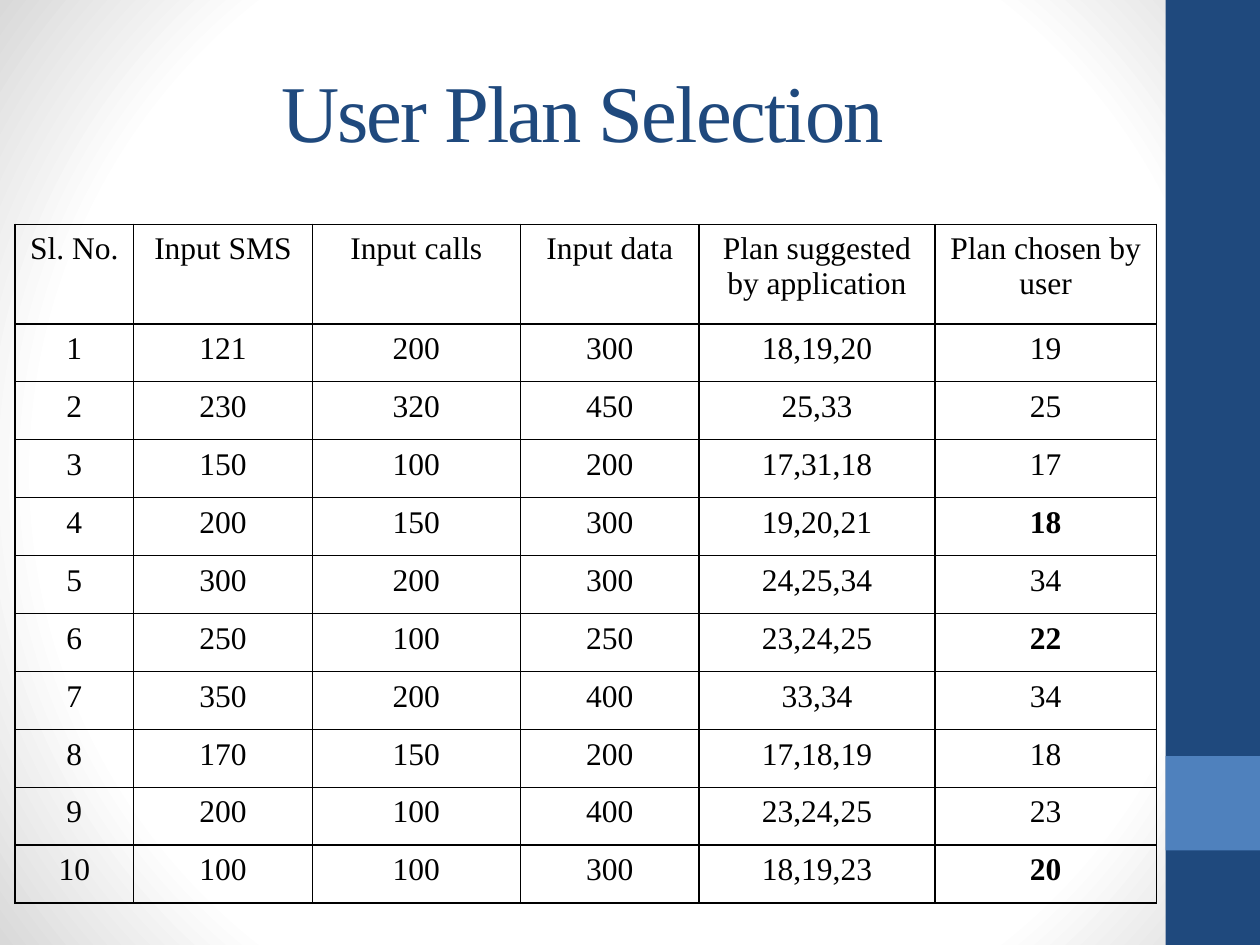
from dataclasses import dataclass

from lxml.etree import SubElement
from pptx import Presentation
from pptx.dml.color import RGBColor
from pptx.enum.shapes import MSO_SHAPE as Preset
from pptx.enum.text import MSO_ANCHOR as Anchor, MSO_AUTO_SIZE as AutoSize, PP_ALIGN as Align
from pptx.oxml import parse_xml
from pptx.oxml.ns import nsdecls, qn
from pptx.util import Inches, Pt

NAVY = RGBColor(0x1F, 0x49, 0x7D)
BLUE = RGBColor(0x4F, 0x81, 0xBD)
BLACK = RGBColor(0, 0, 0)
FONT = "Times New Roman"

HEADERS = ("Sl. No.", "Input SMS", "Input calls", "Input data",
           "Plan suggested by application", "Plan chosen by user")
COLUMN_WIDTHS = (0.94, 1.42, 1.65, 1.42, 1.87, 1.76)
HEADER_HEIGHT, ROW_HEIGHT = 0.79, 0.46
CELL_MARGIN = 0.06

BACKGROUND = f"""<p:bg {nsdecls('p', 'a')}><p:bgPr>
<a:gradFill rotWithShape="1"><a:gsLst>
<a:gs pos="0"><a:srgbClr val="FFFFFF"/></a:gs>
<a:gs pos="75000"><a:srgbClr val="FFFFFF"/></a:gs>
<a:gs pos="100000"><a:srgbClr val="D9D9D9"/></a:gs>
</a:gsLst><a:path path="circle">
<a:fillToRect l="50000" t="50000" r="50000" b="50000"/>
</a:path></a:gradFill><a:effectLst/></p:bgPr></p:bg>"""


@dataclass(frozen=True)
class Band:
    top: float
    height: float
    color: RGBColor


@dataclass(frozen=True)
class Trial:
    sms: int
    calls: int
    data: int
    suggested: tuple[int, ...]
    chosen: int


BANDS = (Band(0, 7.5, NAVY), Band(6, 0.75, BLUE))
TRIALS = (
    Trial(121, 200, 300, (18, 19, 20), 19),
    Trial(230, 320, 450, (25, 33), 25),
    Trial(150, 100, 200, (17, 31, 18), 17),
    Trial(200, 150, 300, (19, 20, 21), 18),
    Trial(300, 200, 300, (24, 25, 34), 34),
    Trial(250, 100, 250, (23, 24, 25), 22),
    Trial(350, 200, 400, (33, 34), 34),
    Trial(170, 150, 200, (17, 18, 19), 18),
    Trial(200, 100, 400, (23, 24, 25), 23),
    Trial(100, 100, 300, (18, 19, 23), 20),
)


def write(frame, text: str, *, size: float, color: RGBColor,
          bold: bool = False, spacing: float = 0) -> None:
    """Fill a text frame with one centred paragraph."""
    para = frame.paragraphs[0]
    para.alignment = Align.CENTER
    span = para.add_run()
    span.text = text
    span.font.name = FONT
    span.font.size = Pt(size)
    span.font.bold = bold
    span.font.color.rgb = color
    if spacing:
        span.font._element.set("spc", str(round(spacing * 100)))


def set_margins(target, inches: float) -> None:
    for side in ("left", "top", "right", "bottom"):
        setattr(target, f"margin_{side}", Inches(inches))


def draw_band(page, band: Band) -> None:
    box = page.shapes.add_shape(Preset.RECTANGLE, Inches(9.25), Inches(band.top),
                                Inches(0.75), Inches(band.height))
    box.shadow.inherit = False
    box.fill.solid()
    box.fill.fore_color.rgb = band.color
    box.line.fill.background()


def add_borders(cell) -> None:
    properties = cell._tc.get_or_add_tcPr()
    for side in ("lnL", "lnR", "lnT", "lnB"):
        line = SubElement(properties, qn(f"a:{side}"), w=str(Pt(1)))
        fill = SubElement(line, qn("a:solidFill"))
        SubElement(fill, qn("a:srgbClr"), val=str(BLACK))


def draw_cell(cell, text: str, bold: bool) -> None:
    set_margins(cell, CELL_MARGIN)
    cell.vertical_anchor = Anchor.TOP
    add_borders(cell)
    cell.fill.background()
    write(cell.text_frame, text, size=18, color=BLACK, bold=bold)


def draw_table(page, trials: tuple[Trial, ...]) -> None:
    rows = [HEADERS]
    for number, trial in enumerate(trials, 1):
        plans = ",".join(map(str, trial.suggested))
        rows.append((number, trial.sms, trial.calls, trial.data, plans, trial.chosen))
    heights = [HEADER_HEIGHT] + [ROW_HEIGHT] * len(trials)
    table = page.shapes.add_table(
        len(rows), len(HEADERS), Inches(0.12), Inches(1.78),
        Inches(sum(COLUMN_WIDTHS)), Inches(sum(heights))).table
    table.first_row = table.horz_banding = False
    for column, width in zip(table.columns, COLUMN_WIDTHS):
        column.width = Inches(width)
    for row, height in zip(table.rows, heights):
        row.height = Inches(height)
    for r, values in enumerate(rows):
        # A choice outside the suggested plans stands out in bold
        unexpected = r > 0 and trials[r - 1].chosen not in trials[r - 1].suggested
        for c, value in enumerate(values):
            last = c == len(HEADERS) - 1
            draw_cell(table.cell(r, c), str(value), bold=unexpected and last)


def draw_title(page, text: str) -> None:
    title = page.shapes.title
    title.left, title.top = Inches(0), Inches(0)
    title.width, title.height = Inches(9.25), Inches(1.75)
    frame = title.text_frame
    frame.word_wrap = True
    frame.auto_size = AutoSize.NONE
    frame.vertical_anchor = Anchor.MIDDLE
    set_margins(frame, 0)
    write(frame, text, size=46, color=NAVY, spacing=-1)


def main() -> None:
    deck = Presentation()
    deck.slide_width, deck.slide_height = Inches(10), Inches(7.5)
    page = deck.slides.add_slide(deck.slide_layouts[5])

    # Background and side bands
    page._element.cSld.insert(0, parse_xml(BACKGROUND))
    for band in BANDS:
        draw_band(page, band)

    # Title and results
    draw_title(page, "User Plan Selection")
    draw_table(page, TRIALS)
    deck.save("out.pptx")


if __name__ == "__main__":
    main()
